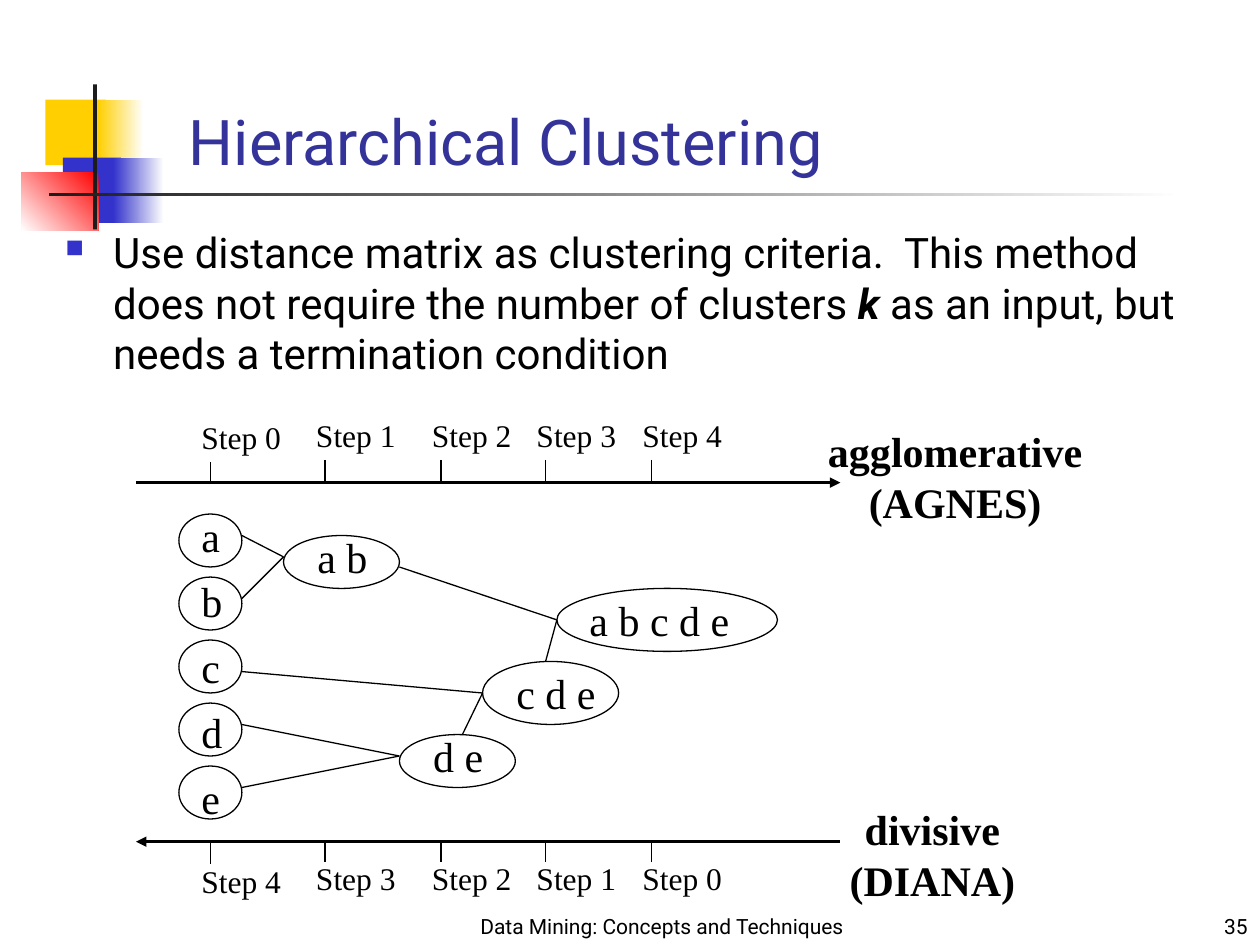
from typing import NamedTuple, Optional

from lxml import etree
from pptx import Presentation
from pptx.dml.color import RGBColor
from pptx.enum.shapes import MSO_CONNECTOR, MSO_SHAPE
from pptx.enum.text import MSO_ANCHOR as Anchor, PP_ALIGN as Align
from pptx.oxml.ns import qn
from pptx.util import Inches, Pt

BLACK = RGBColor(0x00, 0x00, 0x00)
WHITE = RGBColor(0xFF, 0xFF, 0xFF)
CHARCOAL = RGBColor(0x1C, 0x1C, 0x1C)
YELLOW = RGBColor(0xFF, 0xCF, 0x01)
BLUE = RGBColor(0x33, 0x33, 0xCC)
RED = RGBColor(0xFF, 0x00, 0x00)
TITLE_BLUE = RGBColor(0x33, 0x33, 0x99)

SANS = {"name": "Roboto", "color": BLACK}
SERIF = {"name": "Times New Roman", "color": BLACK}
TITLE = {**SANS, "size": Pt(36), "color": TITLE_BLUE}
BODY = {**SANS, "size": Pt(24)}
FOOTER = {**SANS, "size": Pt(12)}
STEP = {**SERIF, "size": Pt(18)}
CLUSTER = {**SERIF, "size": Pt(24)}
METHOD = {**CLUSTER, "bold": True}


class Box(NamedTuple):
    left: float
    top: float
    width: float
    height: float

    def lengths(self) -> list:
        return [Inches(value) for value in self]


class Block(NamedTuple):
    box: Box
    start: RGBColor
    end: Optional[RGBColor] = None
    angle: int = 180


class Cluster(NamedTuple):
    text: str
    oval: Box
    label: Box


class Axis(NamedTuple):
    line_top: float
    tick_top: float
    label_top: float
    steps: range
    arrow_end: str
    method: str
    method_box: Box


# Decoration behind the title
BLOCKS = [
    Block(Box(0.36, 0.79, 0.48, 0.52), YELLOW),
    Block(Box(0.78, 0.79, 0.36, 0.52), WHITE, YELLOW),
    Block(Box(0.5, 1.25, 0.46, 0.52), BLUE),
    Block(Box(0.9, 1.25, 0.4, 0.52), WHITE, BLUE),
    Block(Box(0.17, 1.37, 0.61, 0.46), RED, WHITE, 225),
    Block(Box(0.74, 0.67, 0.03, 1.15), CHARCOAL),
    Block(Box(0.39, 1.53, 9, 0.03), WHITE, CHARCOAL),
]

# Single objects on the left, merged clusters to the right
CLUSTERS = [
    Cluster(letter, Box(1.42, 4.08 + 0.5 * row, 0.5, 0.42),
            Box(1.5, 4 + 0.52 * row, 0.35, 0.5))
    for row, letter in enumerate("abcde")
] + [
    Cluster("a b", Box(2.25, 4.25, 0.92, 0.42), Box(2.42, 4.17, 0.6, 0.5)),
    Cluster("d e", Box(3.17, 5.83, 0.92, 0.42), Box(3.34, 5.75, 0.6, 0.5)),
    Cluster("c d e", Box(3.83, 5.25, 1.08, 0.5), Box(4, 5.25, 0.83, 0.5)),
    Cluster("a b c d e", Box(4.42, 4.67, 1.75, 0.5), Box(4.58, 4.67, 1.31, 0.5)),
]

# Each merge point with the ends of its branches
MERGES = {
    (2.25, 4.42): [(1.92, 4.25), (1.92, 4.75)],
    (3.17, 6): [(1.92, 5.75), (1.92, 6.25)],
    (3.83, 5.5): [(1.92, 5.33), (3.67, 5.83)],
    (4.42, 4.92): [(3.17, 4.5), (4.33, 5.25)],
}

TICKS = [1.67, 2.58, 3.5, 4.33, 5.17]
AXES = [
    Axis(3.83, 3.65, 3.25, range(5), "tailEnd",
         "agglomerative\n(AGNES)", Box(6.47, 3.33, 2.22, 0.9)),
    Axis(6.68, 6.67, 6.77, range(4, -1, -1), "headEnd",
         "divisive\n(DIANA)", Box(6.54, 6.33, 1.72, 0.9)),
]


def set_font(font, style: dict) -> None:
    for name, value in style.items():
        if name == "color":
            font.color.rgb = value
        else:
            setattr(font, name, value)


def add_text(slide, box: Box, text: str, style: dict, align=Align.LEFT,
             anchor=Anchor.TOP, wrap: bool = False):
    frame = slide.shapes.add_textbox(*box.lengths()).text_frame
    frame.word_wrap = wrap
    frame.vertical_anchor = anchor
    frame.text = text
    for paragraph in frame.paragraphs:
        paragraph.alignment = align
        for run in paragraph.runs:
            set_font(run.font, style)
    return frame


def add_block(slide, block: Block) -> None:
    shape = slide.shapes.add_shape(MSO_SHAPE.RECTANGLE, *block.box.lengths())
    shape.shadow.inherit = False
    shape.line.fill.background()
    if block.end is None:
        shape.fill.solid()
        shape.fill.fore_color.rgb = block.start
        return
    shape.fill.gradient()
    shape.fill.gradient_angle = block.angle
    for stop, color in zip(shape.fill.gradient_stops, (block.start, block.end)):
        stop.color.rgb = color


def add_line(slide, start: tuple, end: tuple, width: float = 0.75,
             arrow_end: Optional[str] = None) -> None:
    line = slide.shapes.add_connector(
        MSO_CONNECTOR.STRAIGHT, *(Inches(value) for value in start + end))
    line.line.color.rgb = BLACK
    line.line.width = Pt(width)
    properties = line._element.spPr
    if arrow_end:
        etree.SubElement(properties.find(qn("a:ln")), qn(f"a:{arrow_end}"), type="triangle")
    etree.SubElement(properties, qn("a:effectLst"))


def add_cluster(slide, cluster: Cluster) -> None:
    add_text(slide, cluster.label, cluster.text, CLUSTER)
    oval = slide.shapes.add_shape(MSO_SHAPE.OVAL, *cluster.oval.lengths())
    oval.shadow.inherit = False
    oval.fill.background()
    oval.line.color.rgb = BLACK
    oval.line.width = Pt(0.75)


def add_axis(slide, axis: Axis) -> None:
    add_line(slide, (1.08, axis.line_top), (6.67, axis.line_top), 1.5, axis.arrow_end)
    for index, (x, step) in enumerate(zip(TICKS, axis.steps)):
        drop = 0.02 if index == 0 else 0  # the first step sits a little lower
        top = axis.tick_top + drop
        add_line(slide, (x, top), (x, top + 0.17))
        add_text(slide, Box(x - 0.17, axis.label_top + drop, 0.83, 0.4), f"Step {step}", STEP)
    add_text(slide, axis.method_box, axis.method, METHOD, Align.CENTER)


def add_body(slide) -> None:
    frame = add_text(
        slide, Box(0.42, 1.75, 9.08, 5.33),
        "Use distance matrix as clustering criteria.  This method does not "
        "require the number of clusters ", BODY, wrap=True)
    paragraph = frame.paragraphs[0]
    for text, extra in (("k", {"bold": True, "italic": True}),
                        (" as an input, but needs a termination condition", {})):
        run = paragraph.add_run()
        run.text = text
        set_font(run.font, {**BODY, **extra})
    properties = paragraph._p.get_or_add_pPr()
    properties.set("marL", str(Inches(0.38)))
    properties.set("indent", str(Inches(-0.38)))
    bullet_color = etree.SubElement(properties, qn("a:buClr"))
    etree.SubElement(bullet_color, qn("a:srgbClr"), val=str(BLUE))
    etree.SubElement(properties, qn("a:buSzPct"), val="60000")
    etree.SubElement(properties, qn("a:buChar"), char="■")


def main() -> None:
    presentation = Presentation()
    presentation.slide_width = Inches(10)
    presentation.slide_height = Inches(7.5)
    slide = presentation.slides.add_slide(presentation.slide_layouts[6])

    # Title and body
    for block in BLOCKS:
        add_block(slide, block)
    add_text(slide, Box(1.4, 0.87, 7.98, 0.48), "Hierarchical Clustering", TITLE,
             anchor=Anchor.MIDDLE, wrap=True)
    add_body(slide)

    # Clustering diagram
    for axis in AXES:
        add_axis(slide, axis)
    for cluster in CLUSTERS:
        add_cluster(slide, cluster)
    for merge, branches in MERGES.items():
        for branch in branches:
            add_line(slide, branch, merge)

    # Footer
    add_text(slide, Box(3.67, 7.08, 3.17, 0.42), "Data Mining: Concepts and Techniques",
             FOOTER, Align.CENTER, Anchor.BOTTOM, True)
    add_text(slide, Box(7.92, 7.08, 2.08, 0.42), "35", FOOTER, Align.RIGHT, Anchor.BOTTOM, True)
    presentation.save("out.pptx")


if __name__ == "__main__":
    main()
